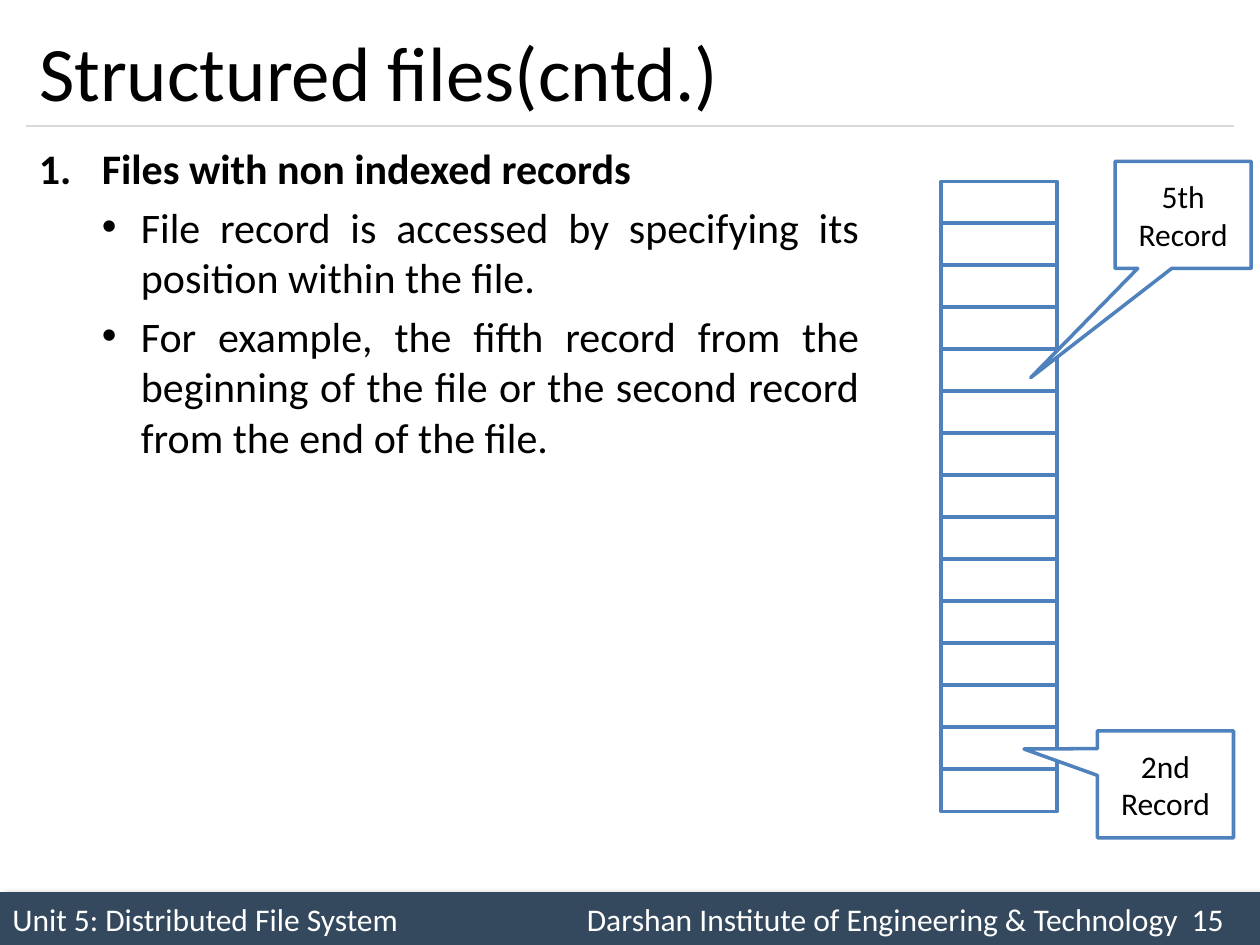
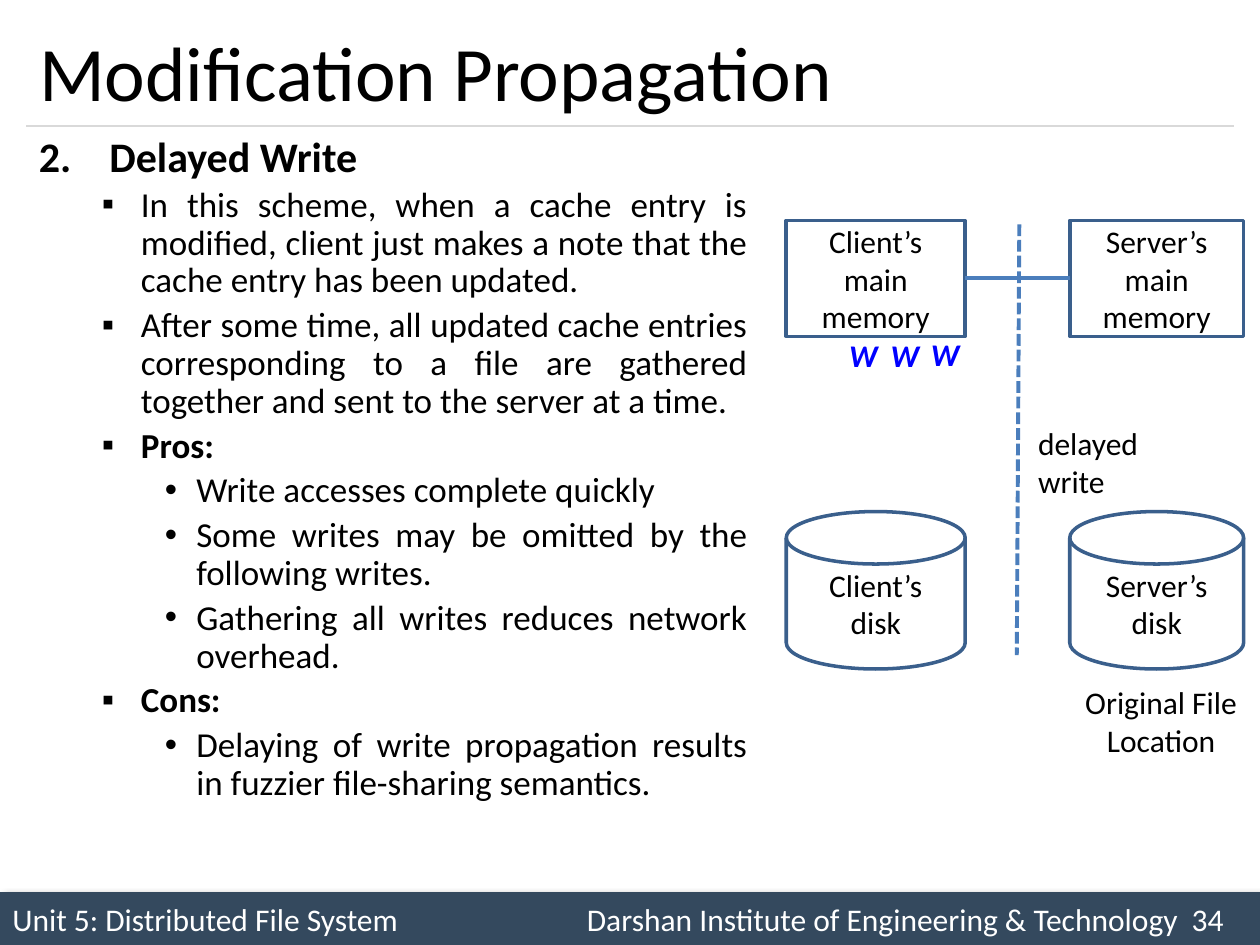
from lxml.etree import SubElement
from pptx import Presentation
from pptx.dml.color import RGBColor
from pptx.enum.dml import MSO_LINE as Dash
from pptx.enum.shapes import MSO_CONNECTOR as Conn, MSO_SHAPE as Shape
from pptx.enum.text import MSO_ANCHOR as Anchor, PP_ALIGN as Align
from pptx.oxml.ns import qn
from pptx.util import Inches, Pt

W, H = 10, 7.5
EDGE = 0.21
RULE_Y, BODY_Y, BAND_Y = 1, 1.08, 7.08
FONT = "Calibri"
BLACK, WHITE, BAND, RULE = "000000", "FFFFFF", "34495E", "D9D9D9"
BLUE, DARK_BLUE, MID_BLUE, WRITE_BLUE = "4F81BD", "3A5F8C", "4B7EBC", "0000FF"

UNIT = "Unit 5: Distributed File System"
INSTITUTE = "Darshan Institute of Engineering & Technology"
FOOTER_TABS = (4.56, 9.36)

RECORDS_BODY = [
    (0, "Files with non indexed records", True),
    (1, "File record is accessed by specifying its position within the file.", False),
    (1, "For example, the fifth record from the beginning of the file or the second "
        "record from the end of the file.", False),
]
RECORD_COUNT = 15
RECORD_STACK = (7.47, 1.44, 0.92, 5)
CALLOUTS = [
    ("5th Record", (8.85, 1.28, 1.08, 0.85), (-1.12, 1.52)),
    ("2nd Record", (8.71, 5.8, 1.08, 0.85), (-1.04, -0.33)),
]

DELAYED_BODY = [
    (0, "Delayed Write", True),
    (1, "In this scheme, when a cache entry is modified, client just makes a note "
        "that the cache entry has been updated.", False),
    (1, "After some time, all updated cache entries corresponding to a file are "
        "gathered together and sent to the server at a time.", False),
    (1, "Pros:", True),
    (2, "Write accesses complete quickly", False),
    (2, "Some writes may be omitted by the following writes.", False),
    (2, "Gathering all writes reduces network overhead.", False),
    (1, "Cons:", True),
    (2, "Delaying of write propagation results in fuzzier file-sharing semantics.", False),
]
MACHINES = [("Client’s", 6.24, 1.42), ("Server’s", 8.49, 1.38)]
MEMORY_ROW, DISK_ROW = (1.75, 0.92), (4.06, 1.25)
PENDING_WRITES = [(6.64, 2.62), (6.97, 2.62), (7.29, 2.61)]


def rgb(value):
    return RGBColor.from_string(value)


def box(*lengths):
    return [Inches(n) for n in lengths]


def add_run(p, text, size=18, color=BLACK, bold=False, italic=False):
    r = p.add_run()
    r.text = text
    f = r.font
    f.name, f.size, f.bold, f.italic = FONT, Pt(size), bold, italic
    f.color.rgb = rgb(color)


def add_shape(s, kind, at, lines=(), fill=None, line=None):
    sp = s.shapes.add_shape(kind, *box(*at))
    sp.shadow.inherit = False
    if fill:
        sp.fill.solid()
        sp.fill.fore_color.rgb = rgb(fill)
    else:
        sp.fill.background()
    if line:
        sp.line.color.rgb = rgb(line)
        sp.line.width = Pt(2)
    else:
        sp.line.fill.background()
    tf = sp.text_frame
    tf.word_wrap = True
    tf.vertical_anchor = Anchor.MIDDLE
    for i, text in enumerate(lines):
        p = tf.add_paragraph() if i else tf.paragraphs[0]
        p.alignment = Align.CENTER
        add_run(p, text)
    return sp


def add_line(s, x1, y1, x2, y2, color, width=2.25):
    c = s.shapes.add_connector(Conn.STRAIGHT, *box(x1, y1, x2, y2))
    c.line.color.rgb = rgb(color)
    c.line.width = Pt(width)
    SubElement(c._element.spPr, qn("a:effectLst"))
    return c


def add_label(s, text, at, align=Align.LEFT, **style):
    tf = s.shapes.add_textbox(*box(*at)).text_frame
    tf.word_wrap = True
    p = tf.paragraphs[0]
    p.alignment = align
    add_run(p, text, **style)


def add_footer(s, number):
    band = add_shape(s, Shape.RECTANGLE, (0, BAND_Y, W, H - BAND_Y), fill=BAND)
    effects = band._element.spPr.find(qn("a:effectLst"))
    shadow = SubElement(effects, qn("a:outerShdw"), blurRad=str(Pt(4)),
                        dist=str(Pt(3)), dir="2700000")
    tint = SubElement(shadow, qn("a:srgbClr"), val=BLACK)
    SubElement(tint, qn("a:alpha"), val="40000")
    p = band.text_frame.paragraphs[0]
    p.alignment = Align.LEFT
    tabs = SubElement(p._p.get_or_add_pPr(), qn("a:tabLst"))
    for x in FOOTER_TABS:
        SubElement(tabs, qn("a:tab"), pos=str(Inches(x)), algn="l")
    add_run(p, f"{UNIT}\t{INSTITUTE}\t{number}", color=WHITE)


def new_slide(prs, title, number):
    s = prs.slides.add_slide(prs.slide_layouts[5])
    sp = s.shapes.title
    sp.left, sp.top, sp.width, sp.height = box(EDGE, 0.12, W - 2 * EDGE, 0.88)
    tf = sp.text_frame
    tf.vertical_anchor = Anchor.MIDDLE
    p = tf.paragraphs[0]
    p.alignment = Align.LEFT
    add_run(p, title, 44)
    add_footer(s, number)
    add_line(s, EDGE, RULE_Y, W - EDGE, RULE_Y, RULE, 0.75)
    return s


def add_body(s, items, width, start, head_indent, size, spacing, marks):
    tf = s.shapes.add_textbox(*box(EDGE, BODY_Y, width, 5.83)).text_frame
    tf.word_wrap = True
    indents = [(head_indent, head_indent), (0.81, 0.31), (1.25, 0.25)]
    for i, (level, text, bold) in enumerate(items):
        p = tf.add_paragraph() if i else tf.paragraphs[0]
        left, hanging = indents[level]
        pPr = p._p.get_or_add_pPr()
        pPr.set("marL", str(Inches(left)))
        pPr.set("indent", str(-Inches(hanging)))
        if level:
            SubElement(pPr, qn("a:buFont"), typeface="Arial")
            SubElement(pPr, qn("a:buChar"), char=marks[level - 1])
        else:
            SubElement(pPr, qn("a:buFont"), typeface=FONT)
            SubElement(pPr, qn("a:buAutoNum"), type="arabicPeriod", startAt=str(start))
        p.level = level
        p.alignment = Align.JUSTIFY
        p.line_spacing = spacing[min(level, 1)]
        text_size = size if level else 24
        p.space_before = Pt(0.2 * text_size if i else 0)
        add_run(p, text, text_size, bold=bold)


def records_slide(prs):
    s = new_slide(prs, "Structured files(cntd.)", 15)
    add_body(s, RECORDS_BODY, 6.71, 1, 0.5, 24, (1.0, 1.0), "•")
    x, y, w, h = RECORD_STACK
    add_shape(s, Shape.RECTANGLE, RECORD_STACK, fill=WHITE, line=BLUE)
    for i in range(1, RECORD_COUNT):
        row_y = y + i * h / RECORD_COUNT
        add_line(s, x, row_y, x + w, row_y, BLUE)
    for text, at, tip in CALLOUTS:
        sp = add_shape(s, Shape.RECTANGULAR_CALLOUT, at, [text], WHITE, BLUE)
        for i, share in enumerate(tip):
            sp.adjustments[i] = share


def delayed_write_slide(prs):
    s = new_slide(prs, "Modification Propagation", 34)
    add_body(s, DELAYED_BODY, 5.82, 2, 0.56, 20, (0.75, 0.9), "▪•")
    memories = []
    for owner, x, w in MACHINES:
        disk_y, disk_h = DISK_ROW
        add_shape(s, Shape.FLOWCHART_MAGNETIC_DISK, (x, disk_y, w, disk_h),
                  [owner, "disk"], line=DARK_BLUE)
        memory_y, memory_h = MEMORY_ROW
        memories.append(add_shape(s, Shape.RECTANGLE, (x, memory_y, w, memory_h),
                                  [f"{owner} main memory"], line=DARK_BLUE))
    client, server = memories
    network = add_line(s, 7.66, 2.21, 8.49, 2.21, MID_BLUE)
    network.begin_connect(client, 3)
    network.end_connect(server, 1)
    boundary = add_line(s, 8.09, 1.78, 8.07, 5.2, MID_BLUE)
    boundary.line.dash_style = Dash.SQUARE_DOT
    for x, y in PENDING_WRITES:
        add_label(s, "W", (x, y, 0.43, 0.37), color=WRITE_BLUE, bold=True, italic=True)
    add_label(s, "delayed write", (8.14, 3.32, 1.51, 0.37))
    add_label(s, "Original File Location", (8.41, 5.37, 1.61, 0.71), Align.CENTER)


def main():
    prs = Presentation()
    prs.slide_width, prs.slide_height = box(W, H)
    records_slide(prs)
    delayed_write_slide(prs)
    prs.save("out.pptx")


if __name__ == "__main__":
    main()
